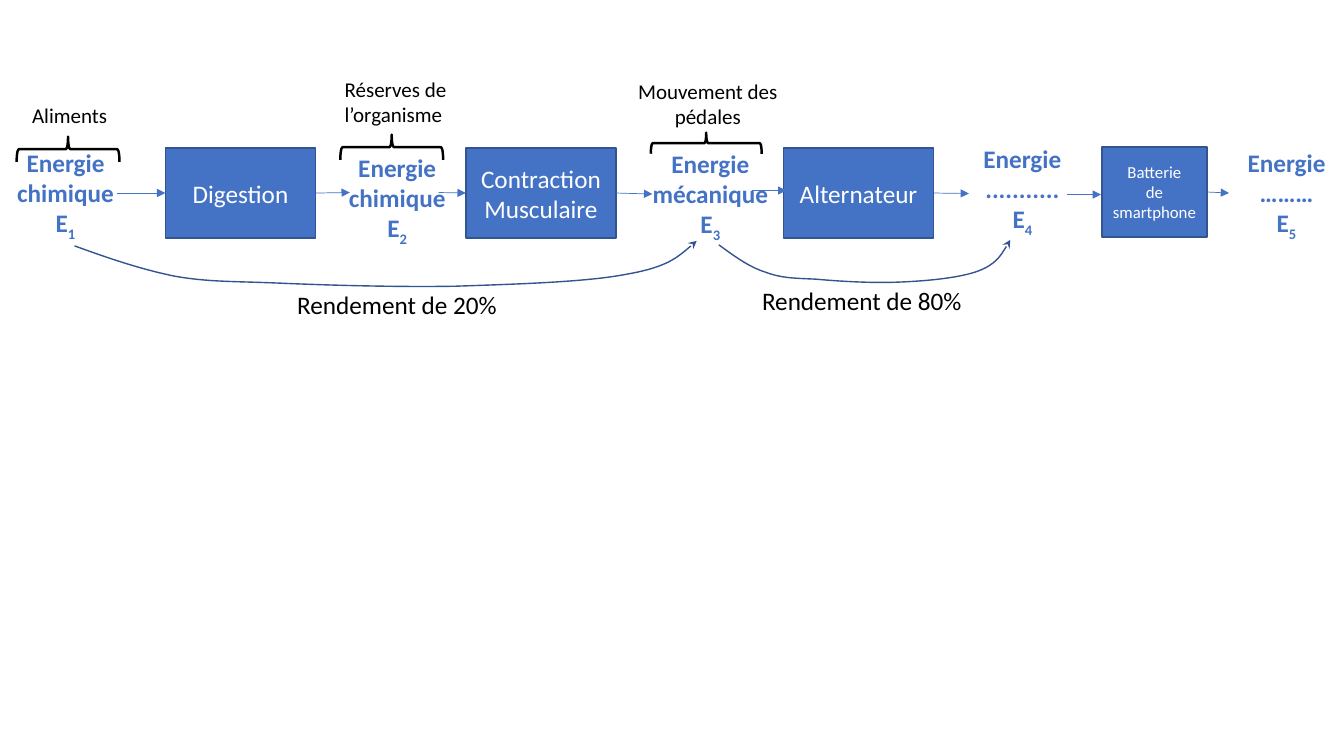
from dataclasses import dataclass

from pptx import Presentation
from pptx import util as u
from pptx.dml.color import RGBColor
from pptx.enum import shapes, text
from pptx.oxml.ns import qn
from pptx.oxml.xmlchemy import OxmlElement

PX = 9144
LEFT, RIGHT = 1, 3


@dataclass(frozen=True)
class Theme:
    font: str = "Calibri"
    blue: str = "4472C4"
    outline: str = "325491"
    black: str = "000000"
    white: str = "FFFFFF"
    body: int = 18
    label: int = 15
    small: int = 12


THEME = Theme()


def px(*lengths):
    return [u.Emu(length * PX) for length in lengths]


def apply_format(target, values):
    for name, value in values.items():
        setattr(target, name, value)


def write(frame, lines, size, color, align, bold=False, subscript=None):
    for index, line in enumerate(lines):
        paragraph = frame.paragraphs[0] if index == 0 else frame.add_paragraph()
        paragraph.alignment = align
        runs = [line]
        if subscript and index == len(lines) - 1:
            runs.append(subscript)
        for content in runs:
            run = paragraph.add_run()
            run.text = content
            apply_format(run.font, {"name": THEME.font, "size": u.Pt(size), "bold": bold})
            run.font.color.rgb = RGBColor.from_string(color)
            if content is subscript:
                run._r.get_or_add_rPr().set("baseline", "-25000")


def set_line(line, color, width, head=None):
    line.color.rgb = RGBColor.from_string(color)
    line.width = u.Pt(width)
    if head:
        tail = OxmlElement("a:tailEnd")
        tail.set("type", head)
        line._get_or_add_ln().append(tail)


def add_converter(slide, bounds, lines, size=THEME.body):
    converter = slide.shapes.add_shape(shapes.MSO_SHAPE.RECTANGLE, *px(*bounds))
    converter.shadow.inherit = False
    converter.fill.solid()
    converter.fill.fore_color.rgb = RGBColor.from_string(THEME.blue)
    set_line(converter.line, THEME.outline, 1)
    apply_format(converter.text_frame, {
        "word_wrap": True, "vertical_anchor": text.MSO_ANCHOR.MIDDLE})
    write(converter.text_frame, lines, size, THEME.white, text.PP_ALIGN.CENTER)
    return converter


def add_words(slide, bounds, lines, size, color=THEME.black,
              align=text.PP_ALIGN.LEFT, margins=None, **style):
    words = slide.shapes.add_textbox(*px(*bounds))
    values = {"word_wrap": True, "auto_size": text.MSO_AUTO_SIZE.SHAPE_TO_FIT_TEXT}
    if margins is not None:
        sides = ("left", "top", "right", "bottom")
        values |= {f"margin_{side}": margins for side in sides}
    apply_format(words.text_frame, values)
    write(words.text_frame, lines, size, color, align, **style)
    return words


def add_energy(slide, bounds, lines, number):
    return add_words(slide, bounds, [*lines, "E"], THEME.body, THEME.blue,
                     text.PP_ALIGN.CENTER, margins=0, bold=True, subscript=number)


def add_arrow(slide, ends, source=None, target=None):
    arrow = slide.shapes.add_connector(shapes.MSO_CONNECTOR.STRAIGHT, *px(*ends))
    if source:
        arrow.begin_connect(source, RIGHT)
    if target:
        arrow.end_connect(target, LEFT)
    set_line(arrow.line, THEME.blue, 0.5, "triangle")
    arrow._element.spPr.append(OxmlElement("a:effectLst"))


def add_brace(slide, bounds):
    brace = slide.shapes.add_shape(shapes.MSO_SHAPE.RIGHT_BRACE, *px(*bounds))
    brace.rotation = 270
    brace.shadow.inherit = False
    brace.fill.background()
    set_line(brace.line, THEME.black, 1.75)


def add_curve(slide, start, controls):
    builder = slide.shapes.build_freeform(*start, scale=PX)
    builder.add_line_segments(controls, close=False)
    curve = builder.convert_to_shape()
    curve.shadow.inherit = False
    curve.fill.background()
    set_line(curve.line, THEME.outline, 1, "stealth")
    segments = list(curve._element.iter(qn("a:lnTo")))
    for first in range(0, len(segments), 3):
        bezier = OxmlElement("a:cubicBezTo")
        segments[first].addprevious(bezier)
        for segment in segments[first:first + 3]:
            bezier.append(segment[0])
            segment.getparent().remove(segment)


def main():
    deck = Presentation()
    deck.slide_width, deck.slide_height = u.Inches(13.33), u.Inches(7.5)
    slide = deck.slides.add_slide(deck.slide_layouts[6])

    digestion = add_converter(slide, (164, 147, 149, 89), ["Digestion"])
    contraction = add_converter(slide, (462, 147, 149, 89), ["Contraction", "Musculaire"])
    alternator = add_converter(slide, (777, 147, 149, 89), ["Alternateur"])
    battery = add_converter(slide, (1093, 146, 104, 89),
                            ["Batterie", "de smartphone"], THEME.small)

    food = add_energy(slide, (14, 146, 102, 91), ["Energie chimique"], "1")
    add_energy(slide, (343, 151, 102, 91), ["Energie chimique"], "2")
    motion = add_energy(slide, (647, 147, 115, 91), ["Energie mécanique"], "3")
    add_energy(slide, (957, 142, 114, 91), ["Energie", "..........."], "4")
    stored = add_energy(slide, (1219, 146, 114, 91), ["Energie", "………"], "5")

    for ends, source, target in (
        ((116, 191, 164, 192), food, digestion),
        ((314, 192, 347, 191), digestion, None),
        ((435, 191, 462, 192), None, contraction),
        ((611, 192, 647, 193), contraction, motion),
        ((746, 189, 780, 189), None, None),
        ((927, 192, 961, 192), alternator, None),
        ((1058, 193, 1092, 193), None, None),
        ((1197, 191, 1219, 191), battery, stored),
    ):
        add_arrow(slide, ends, source, target)

    for bounds in ((55, 97, 25, 102), (376, 95, 25, 102), (690, 87, 21, 110)):
        add_brace(slide, bounds)

    add_words(slide, (22, 97, 140, 35), ["Aliments"], THEME.label)
    add_words(slide, (332, 71, 140, 61), ["Réserves de l’organisme"], THEME.label)
    add_words(slide, (603, 73, 198, 61), ["Mouvement des pédales"], THEME.label,
              align=text.PP_ALIGN.CENTER)

    add_curve(slide, (74, 244), [
        (107, 256), (139, 267), (173, 274), (207, 280), (232, 279), (279, 281),
        (325, 283), (395, 285), (452, 284), (509, 282), (582, 280), (622, 272),
        (662, 265), (676, 252), (691, 239)])
    add_words(slide, (285, 282, 300, 40), ["Rendement de 20%"], THEME.body)
    add_curve(slide, (713, 243), [
        (728, 254), (743, 265), (759, 270), (775, 276), (787, 276), (809, 277),
        (831, 279), (863, 281), (890, 280), (917, 279), (951, 276), (970, 269),
        (988, 262), (995, 250), (1002, 238)])
    add_words(slide, (746, 278, 226, 40), ["Rendement de 80%"], THEME.body)

    deck.save("out.pptx")


if __name__ == "__main__":
    main()
